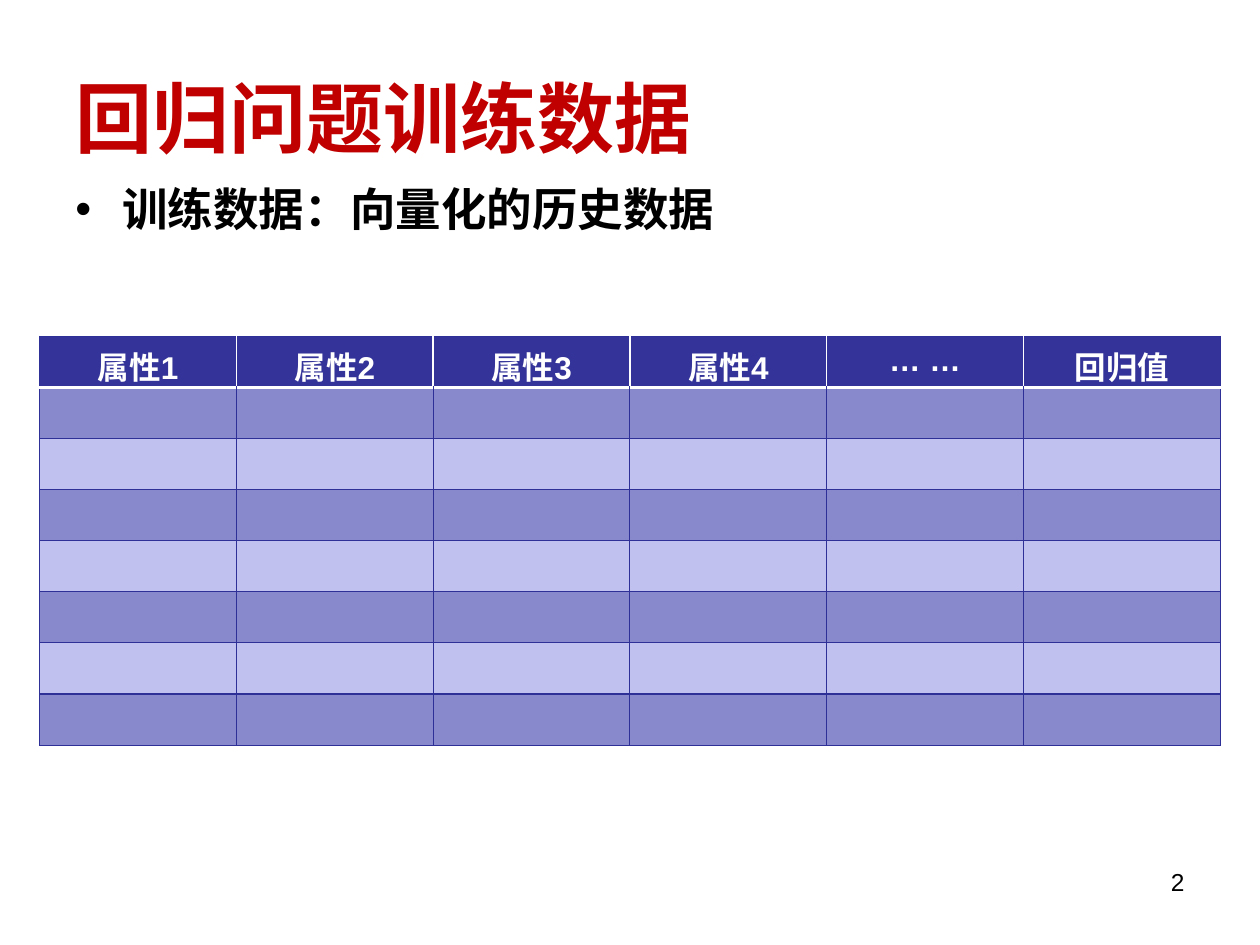
from lxml.etree import SubElement
from pptx import Presentation
from pptx.dml.color import RGBColor
from pptx.enum.text import MSO_ANCHOR, PP_ALIGN
from pptx.oxml.ns import qn
from pptx.util import Cm, Pt

COLORS = {
    "title": "C00000",
    "text": "000000",
    "header": "333399",
    "grid": "2F2F98",
    "dark_band": "8888CC",
    "light_band": "C1C1EF",
    "white": "FFFFFF",
}
EAST_ASIAN_FONT = "Noto Sans CJK SC"
HEADERS = ["属性1", "属性2", "属性3", "属性4", "… …", "回归值"]
ROW_COUNT = 8


class SlideBuilder:
    def __init__(self, presentation):
        self.slide = presentation.slides.add_slide(presentation.slide_layouts[5])

    def add_run(self, paragraph, text, size, color, font="Arial", bold=True):
        run = paragraph.add_run()
        run.text = text
        run.font.size = Pt(size)
        run.font.bold = bold
        run.font.name = font
        run.font.color.rgb = RGBColor.from_string(COLORS[color])
        SubElement(run.font._element, qn("a:ea"), typeface=EAST_ASIAN_FONT)

    def title(self, text, left, top, width, height):
        shape = self.slide.shapes.title
        shape.left, shape.top = Cm(left), Cm(top)
        shape.width, shape.height = Cm(width), Cm(height)
        shape.text_frame.vertical_anchor = MSO_ANCHOR.MIDDLE
        paragraph = shape.text_frame.paragraphs[0]
        paragraph.alignment = PP_ALIGN.LEFT
        self.add_run(paragraph, text, 44, "title", "Times New Roman")

    def text_box(self, left, top, width, height, alignment=PP_ALIGN.LEFT):
        """Add a wrapping text box and return its first paragraph."""
        shape = self.slide.shapes.add_textbox(Cm(left), Cm(top), Cm(width), Cm(height))
        shape.text_frame.word_wrap = True
        paragraph = shape.text_frame.paragraphs[0]
        paragraph.alignment = alignment
        return paragraph

    def bullet(self, text, left, top, width, height):
        paragraph = self.text_box(left, top, width, height)
        properties = paragraph._p.get_or_add_pPr()
        indent = Cm(0.95)
        properties.set("marL", str(indent))
        properties.set("indent", str(-indent))
        SubElement(properties, qn("a:buFont"), typeface="Arial")
        SubElement(properties, qn("a:buChar"), char="•")
        self.add_run(paragraph, text, 26, "text", EAST_ASIAN_FONT)

    def page_number(self, text, left, top, width, height):
        paragraph = self.text_box(left, top, width, height, PP_ALIGN.RIGHT)
        self.add_run(paragraph, text, 14, "text", bold=False)

    def cell_style(self, cell, fill, borders):
        """Fill a cell and draw borders given as {side: (color, width)}."""
        properties = cell._tc.get_or_add_tcPr()
        for side in ("L", "R", "T", "B"):
            if side in borders:
                color, width = borders[side]
                line = SubElement(properties, qn(f"a:ln{side}"), w=str(Pt(width)))
                solid = SubElement(line, qn("a:solidFill"))
                SubElement(solid, qn("a:srgbClr"), val=COLORS[color])
        cell.fill.solid()
        cell.fill.fore_color.rgb = RGBColor.from_string(COLORS[fill])

    def table(self, headers, row_count, left, top, width, row_height):
        table = self.slide.shapes.add_table(
            row_count, len(headers), Cm(left), Cm(top),
            Cm(width), Cm(row_height * row_count)).table
        for row in table.rows:
            row.height = Cm(row_height)
        grid, rule = ("grid", 0.75), ("white", 2)
        for column, text in enumerate(headers):
            header = table.cell(0, column)
            borders = {"T": grid, "B": rule}
            if column == 0:
                borders["L"] = grid
            if column == len(headers) - 1:
                borders["R"] = grid
            self.cell_style(header, "header", borders)
            paragraph = header.text_frame.paragraphs[0]
            paragraph.alignment = PP_ALIGN.CENTER
            self.add_run(paragraph, text, 18, "white")
            for row in range(1, row_count):
                band = "dark_band" if row % 2 else "light_band"
                borders = {"L": grid, "R": grid, "B": grid,
                           "T": rule if row == 1 else grid}
                self.cell_style(table.cell(row, column), band, borders)


def main():
    presentation = Presentation()
    presentation.slide_width, presentation.slide_height = Cm(25.4), Cm(19.05)
    builder = SlideBuilder(presentation)
    builder.title("回归问题训练数据", 1.27, 0.76, 22.86, 3.18)
    builder.page_number("2", 18.21, 17.35, 5.92, 1.32)
    builder.bullet("训练数据：向量化的历史数据", 1.27, 3.53, 22.86, 12.57)
    builder.table(HEADERS, ROW_COUNT, 0.8, 6.78, 23.8, 1.03)
    presentation.save("out.pptx")


if __name__ == "__main__":
    main()
